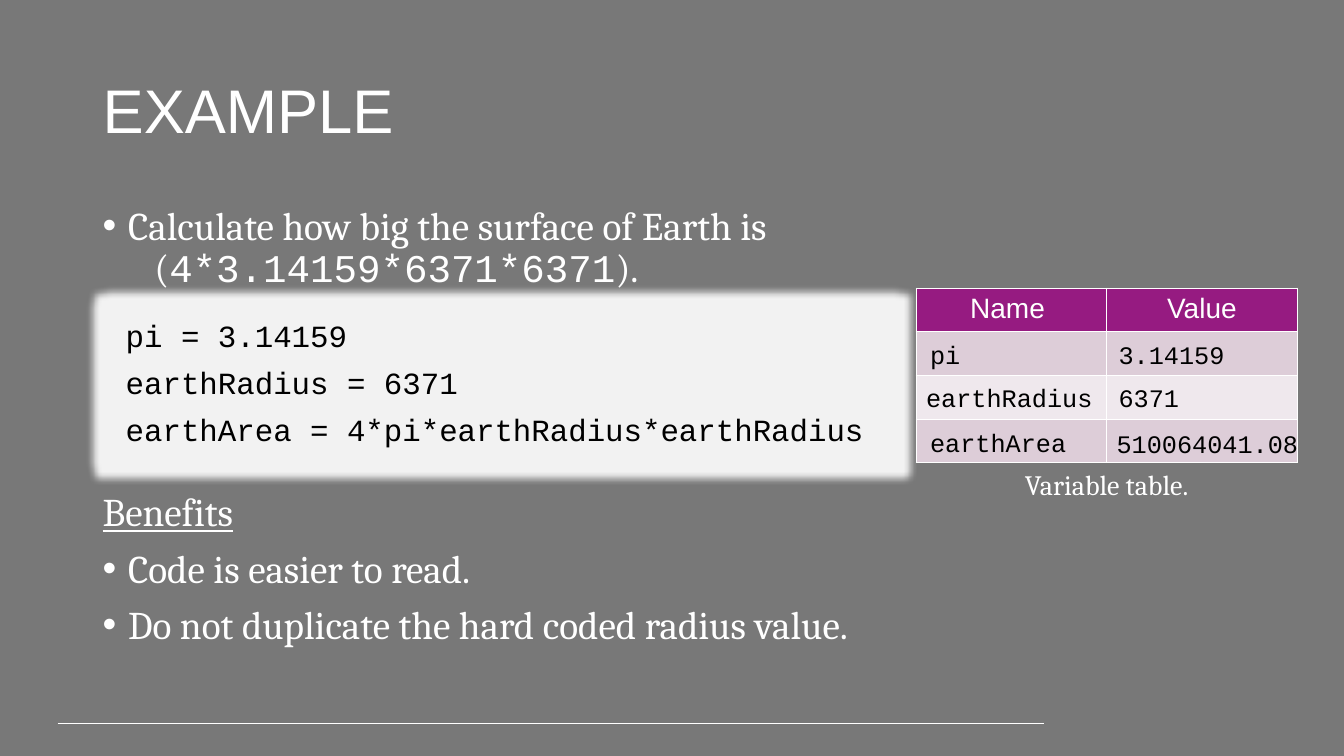
"""Build the slide that introduces variables with an Earth surface example."""
import pptx
import pptx.dml.color
import pptx.enum.shapes
import pptx.enum.text
import pptx.oxml
import pptx.oxml.ns
import pptx.util

Cm = pptx.util.Cm
Pt = pptx.util.Pt
RGBColor = pptx.dml.color.RGBColor
ALIGN = pptx.enum.text.PP_ALIGN
ANCHOR = pptx.enum.text.MSO_ANCHOR
NS = pptx.oxml.ns.nsdecls("a")

GREY = RGBColor(0x78, 0x78, 0x78)
WHITE = RGBColor(0xFF, 0xFF, 0xFF)
BLACK = RGBColor(0, 0, 0)
PANEL = RGBColor(0xF2, 0xF2, 0xF2)
PURPLE = RGBColor(0x96, 0x1B, 0x81)
MAUVE = RGBColor(0xDD, 0xCD, 0xD8)
PALE = RGBColor(0xEF, 0xE8, 0xED)


class Deck:
    HEAD, BODY, CODE = "Arial", "Cambria", "Courier New"

    def __init__(self, prs):
        self.s = prs.slides.add_slide(prs.slide_layouts[6])
        self.s.background.fill.solid()
        self.s.background.fill.fore_color.rgb = GREY

    def style(self, p, font, size, color):
        for r in p.runs:
            r.font.name = font
            r.font.size = Pt(size)
            r.font.bold = False
            r.font.color.rgb = color

    def text(self, box, text, font, size, color=WHITE, align=ALIGN.LEFT, anchor=ANCHOR.TOP):
        sp = self.s.shapes.add_textbox(*map(Cm, box))
        tf = sp.text_frame
        tf.word_wrap = True
        tf.vertical_anchor = anchor
        tf.text = text
        for p in tf.paragraphs:
            p.alignment = align
            p.line_spacing = 0.9 if size > 20 else 1.0
            self.style(p, font, size, color)
        return tf

    def indent(self, p, left, bullet=False):
        pPr = p._p.get_or_add_pPr()
        pPr.set("marL", str(Cm(left)))
        pPr.set("indent", str(-Cm(left) if bullet else 0))
        if bullet:
            pPr.append(pptx.oxml.parse_xml(f'<a:buFont {NS} typeface="Arial"/>'))
            pPr.append(pptx.oxml.parse_xml(f'<a:buChar {NS} char="•"/>'))

    def line(self, x1, y1, x2, y2):
        c = self.s.shapes.add_connector(
            pptx.enum.shapes.MSO_CONNECTOR.STRAIGHT, *map(Cm, (x1, y1, x2, y2)))
        c.line.color.rgb = WHITE
        c.line.width = Pt(0.75)
        c._element.spPr.append(pptx.oxml.parse_xml(f"<a:effectLst {NS}/>"))

    def code(self, box, text):
        sp = self.s.shapes.add_shape(
            pptx.enum.shapes.MSO_SHAPE.RECTANGLE, *map(Cm, box))
        sp.fill.solid()
        sp.fill.fore_color.rgb = PANEL
        sp.line.fill.background()
        sp.shadow.inherit = False
        effects = sp._element.spPr.find(pptx.oxml.ns.qn("a:effectLst"))
        effects.append(pptx.oxml.parse_xml(
            f'<a:glow {NS} rad="{Pt(11)}"><a:srgbClr val="{PANEL}"/></a:glow>'))
        tf = sp.text_frame
        tf.word_wrap = True
        tf.vertical_anchor = ANCHOR.TOP
        tf.text = text
        for i, p in enumerate(tf.paragraphs):
            p.alignment = ALIGN.LEFT
            p.line_spacing = 0.9
            p.space_before = Pt(10 if i else 0)
            self.style(p, self.CODE, 22, BLACK)

    def table(self, box, headers, fills):
        gf = self.s.shapes.add_table(len(fills), len(headers), *map(Cm, box))
        for row, color in zip(gf.table.rows, fills):
            for cell in row.cells:
                tcPr = cell._tc.get_or_add_tcPr()
                for side in "LRTB":
                    tcPr.append(pptx.oxml.parse_xml(
                        f'<a:ln{side} {NS} w="{Pt(1)}"><a:solidFill>'
                        f'<a:srgbClr val="{WHITE}"/></a:solidFill></a:ln{side}>'))
                cell.fill.solid()
                cell.fill.fore_color.rgb = color
        for cell, header in zip(gf.table.rows[0].cells, headers):
            cell.text_frame.text = header
            p = cell.text_frame.paragraphs[0]
            p.alignment = ALIGN.CENTER
            self.style(p, self.HEAD, 20, WHITE)


def main():
    prs = pptx.Presentation()
    prs.slide_width, prs.slide_height = Cm(33.87), Cm(19.05)
    d = Deck(prs)
    d.line(1.45, 18.24, 26.31, 18.24)
    d.text((2.34, 1.02, 29.21, 3.68), "EXAMPLE", d.HEAD, 44, anchor=ANCHOR.MIDDLE)

    lines = ["Calculate how big the surface of Earth is", "(", "Benefits",
             "Code is easier to read.", "Do not duplicate the hard coded radius value."]
    tf = d.text((2.34, 5.08, 29.21, 12.09), "\n".join(lines), d.BODY, 28)
    task, formula, benefits, *points = tf.paragraphs
    for p in (task, *points):
        d.indent(p, 0.64, bullet=True)
    d.indent(formula, 1.3)
    for text in ("4*3.14159*6371*6371", ")."):
        r = formula.add_run()
        r.text = text
    d.style(formula, d.BODY, 28, WHITE)
    formula.runs[1].font.name = d.CODE
    benefits.space_before = Pt(144)
    benefits.runs[0].font.underline = True
    for p in points:
        p.space_before = Pt(10)

    d.code((2.92, 7.95, 19.43, 3.51),
           "pi = 3.14159\nearthRadius = 6371\nearthArea = 4*pi*earthRadius*earthRadius")
    d.table((23.09, 7.26, 9.6, 4.4), ("Name ", "Value"), (PURPLE, MAUVE, PALE, MAUVE))
    d.text((23.09, 11.66, 9.6, 1.12), "Variable table.", d.BODY, 20, align=ALIGN.CENTER)
    for x, y, text in ((23.19, 8.43, "pi"), (23.09, 9.5, "earthRadius"),
                       (23.19, 10.64, "earthArea"), (27.94, 8.43, "3.14159"),
                       (27.94, 9.5, "6371"), (27.89, 10.67, "510064041.08")):
        d.text((x, y, 5.26, 1.02), text, d.CODE, 18, BLACK)
    prs.save("out.pptx")


if __name__ == "__main__":
    main()
